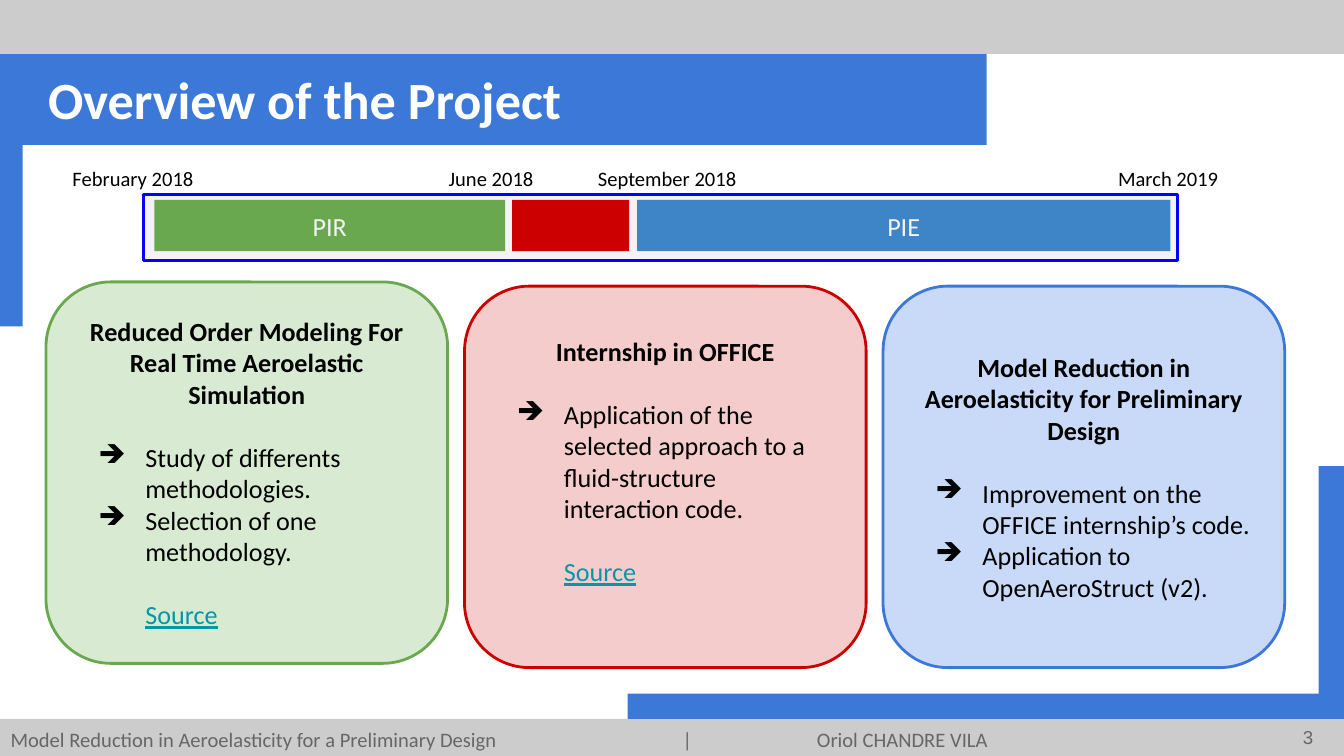
from lxml import etree
from pptx import Presentation
from pptx.dml.color import RGBColor
from pptx.enum.shapes import MSO_SHAPE
from pptx.enum.text import MSO_ANCHOR, MSO_AUTO_SIZE, PP_ALIGN
from pptx.oxml.ns import qn
from pptx.util import Cm, Pt

RECT, ROUNDED = MSO_SHAPE.RECTANGLE, MSO_SHAPE.ROUNDED_RECTANGLE
TOP, MIDDLE = MSO_ANCHOR.TOP, MSO_ANCHOR.MIDDLE
LEFT, CENTER, RIGHT = PP_ALIGN.LEFT, PP_ALIGN.CENTER, PP_ALIGN.RIGHT
BLUE, GREY, BLACK, WHITE = "3C78D8", "CCCCCC", "000000", "FFFFFF"
FOOTER_GREY, PALE = "666666", "F3F3F3"
INSET = Cm(0.25)
BLANK_LINE = Pt(17)

prs = Presentation()
prs.slide_width, prs.slide_height = Cm(25.4), Cm(14.29)
slide = prs.slides.add_slide(prs.slide_layouts[5])
shapes = slide.shapes


def add_block(kind, box, fill, line=None):
    block = shapes.add_shape(kind, *map(Cm, box))
    block.shadow.inherit = False
    block.fill.solid()
    block.fill.fore_color.rgb = RGBColor.from_string(fill)
    if line:
        block.line.color.rgb = RGBColor.from_string(line)
        block.line.width = Pt(1.5)
    else:
        block.line.fill.background()
    return block


def write(shape, text, size, color, anchor=TOP, align=LEFT, new=False, **font):
    """Put text in the first paragraph, or in a new one, and return it."""
    frame = shape.text_frame
    frame_format = {"word_wrap": True, "auto_size": MSO_AUTO_SIZE.NONE, "vertical_anchor": anchor,
                    "margin_left": INSET, "margin_right": INSET,
                    "margin_top": INSET, "margin_bottom": INSET}
    for name, value in frame_format.items():
        setattr(frame, name, value)
    paragraph = frame.add_paragraph() if new else frame.paragraphs[0]
    paragraph.alignment = align
    run = paragraph.add_run()
    run.text = text
    run.font.color.rgb = RGBColor.from_string(color)
    for name, value in ({"name": "Calibri", "size": Pt(size)} | font).items():
        setattr(run.font, name, value)
    return paragraph


# Frame of the slide: title band, side strips, top and bottom bars
for box, color in [
    ((-2.36, 0.99, 21.01, 1.75), BLUE),
    ((-0.05, 0.91, 0.48, 5.26), BLUE),
    ((-1.57, -0.18, 27.41, 1.2), GREY),
    ((-0.71, 13.59, 27.41, 1.09), GREY),
    ((24.92, 8.81, 0.48, 4.78), BLUE),
    ((11.86, 13.11, 13.28, 0.48), BLUE),
]:
    add_block(RECT, box, color)

title = shapes.title
title.left, title.top, title.width, title.height = map(Cm, (0.66, 1.02, 15.24, 1.45))
write(title, "Overview of the Project", 28, WHITE, bold=True)
title.element.getparent().append(title.element)  # in front of the title band

page_number = shapes.add_textbox(*map(Cm, (23.55, 13.39, 1.52, 1.09)))
write(page_number, "3", 10, FOOTER_GREY, MIDDLE, RIGHT, name="Arial")

footer = shapes.add_textbox(*map(Cm, (-0.05, 13.49, 19.1, 1.27)))
footer_line = write(
    footer,
    "Model Reduction in Aeroelasticity for a Preliminary Design\t\t|\tOriol CHANDRE VILA",
    11, FOOTER_GREY)
tab_stops = etree.SubElement(footer_line._p.get_or_add_pPr(), qn("a:tabLst"))
for stop in (10.16, 12.7, 15.24):
    etree.SubElement(tab_stops, qn("a:tab"), pos=str(Cm(stop)), algn="l")

# Timeline
add_block(RECT, (2.72, 3.68, 19.53, 1.24), PALE, "0000FF")
for left, width, color, phase in [
    (2.92, 6.63, "6AA84F", "PIR"),
    (9.68, 2.21, "CC0000", ""),
    (12.04, 10.08, "3D85C6", "PIE"),
]:
    bar = add_block(RECT, (left, 3.78, width, 0.97), color)
    if phase:
        write(bar, phase, 14, PALE, MIDDLE, CENTER)

for left, date in [(1.12, "February 2018"), (8.23, "June 2018"),
                   (11.05, "September 2018"), (20.88, "March 2019")]:
    write(shapes.add_textbox(Cm(left), Cm(2.9), Cm(4.14), Cm(0.48)), date, 11, BLACK)

# One card for each phase
cards = [
    (5.33, "D9EAD3", "6AA84F", "Reduced Order Modeling For Real Time Aeroelastic Simulation",
     ["Study of differents methodologies.", "Selection of one methodology."], "Source"),
    (5.41, "F4CCCC", "CC0000", "Internship in OFFICE",
     ["Application of the selected approach to a fluid-structure interaction code."], "Source"),
    (5.41, "C9DAF8", BLUE, "Model Reduction in Aeroelasticity for Preliminary Design",
     ["Improvement on the OFFICE internship’s code.", "Application to OpenAeroStruct (v2)."], None),
]
for column, (top, fill, outline, heading, tasks, repository) in enumerate(cards):
    card = add_block(ROUNDED, (0.87 + 7.91 * column, top, 7.59, 7.21), fill, outline)
    card.adjustments[0] = 0.17
    write(card, heading, 14, BLACK, MIDDLE, CENTER, bold=True).space_after = BLANK_LINE
    for task in tasks:
        item = write(card, task, 14, BLACK, MIDDLE, new=True)
        item_format = item._p.get_or_add_pPr()
        item_format.set("marL", str(Cm(1.27)))
        item_format.set("indent", str(Cm(-0.89)))
        etree.SubElement(item_format, qn("a:buChar"), char="➔")
    if repository:
        link = write(card, repository, 14, "0097A7", MIDDLE, new=True, underline=True)
        link.space_before = BLANK_LINE
        link._p.get_or_add_pPr().set("marL", str(Cm(1.27)))
    if column == 1:
        card.text_frame.margin_bottom = INSET + BLANK_LINE

prs.save("out.pptx")
